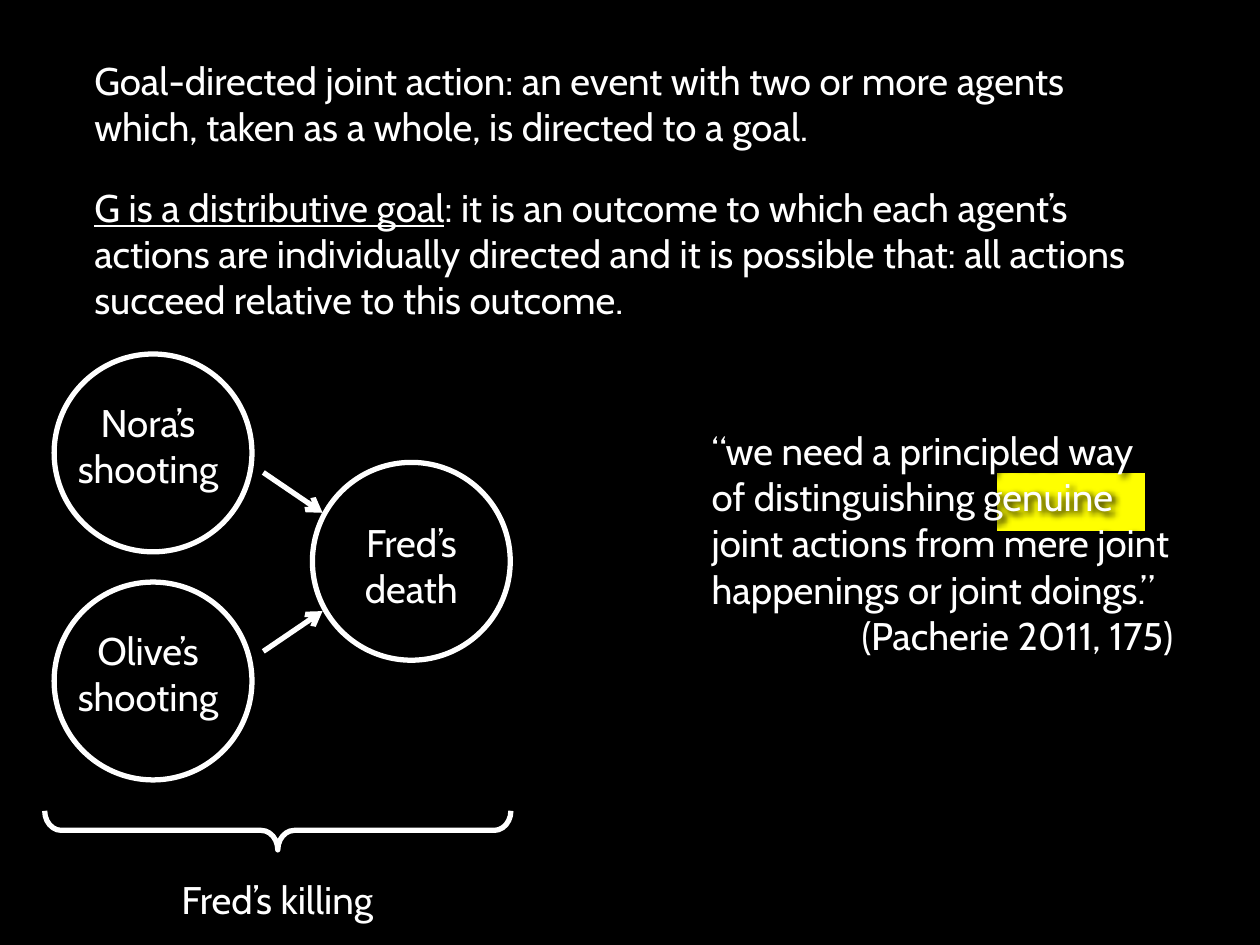
"""Build a slide on distributive goals, with a diagram of a joint killing."""
from dataclasses import dataclass

from lxml import etree
from pptx import Presentation
from pptx.dml.color import RGBColor
from pptx.enum.shapes import MSO_CONNECTOR, MSO_SHAPE
from pptx.enum.text import PP_ALIGN
from pptx.oxml.ns import qn
from pptx.util import Inches, Pt


@dataclass(frozen=True)
class Theme:
    font: str = "Cabin"
    size: int = 22
    stroke: int = 3
    ink: RGBColor = RGBColor(255, 255, 255)
    ground: RGBColor = RGBColor(0, 0, 0)
    highlight: RGBColor = RGBColor(255, 255, 0)


THEME = Theme()
LEFT, CENTER, RIGHT = PP_ALIGN.LEFT, PP_ALIGN.CENTER, PP_ALIGN.RIGHT

DISTRIBUTIVE = [
    ("G is a distributive goal", True),
    (": it is an outcome to which each agent’s actions are individually directed "
     "and it is possible that: all actions succeed relative to this outcome.", False),
]
JOINT_ACTION = [
    ("Goal-directed joint action: an event with two or more agents which, "
     "taken as a whole, is directed to a goal.", False),
]
QUOTE = [
    ("“we need a principled way of distinguishing genuine joint actions "
     "from mere joint happenings or joint doings.”", False),
]
SOURCE = [("(Pacherie 2011, 175)", False)]
KILLING = [("Fred’s killing", False)]

DIAMETER = 1.57
EVENTS = [
    ("Nora’s shooting", (0.43, 2.81), (-0.04, 0.31)),
    ("Olive’s shooting", (0.43, 4.62), (-0.04, 0.31)),
    ("Fred’s death", (2.48, 3.67), (0, 0.4)),
]
ARROW_X = (2.09, 2.56)
ARROW_MIDDLE = 4.46
ARROW_SPREAD = (0.71, 0.39)


def add_text(page, area, paragraphs):
    box = page.shapes.add_textbox(*map(Inches, area))
    frame = box.text_frame
    frame.word_wrap = True
    for index, (spans, alignment) in enumerate(paragraphs):
        paragraph = frame.paragraphs[0] if index == 0 else frame.add_paragraph()
        paragraph.alignment = alignment
        paragraph.font.name = THEME.font
        paragraph.font.size = Pt(THEME.size)
        paragraph.font.color.rgb = THEME.ink
        for text, underlined in spans:
            span = paragraph.add_run()
            span.text = text
            if underlined:
                span.font.underline = True
    return box


def add_outline(page, kind, area):
    shape = page.shapes.add_shape(kind, *map(Inches, area))
    shape.shadow.inherit = False
    shape.fill.background()
    shape.line.color.rgb = THEME.ink
    shape.line.width = Pt(THEME.stroke)
    return shape


def add_arrow(page, start, end):
    arrow = page.shapes.add_connector(MSO_CONNECTOR.STRAIGHT, *map(Inches, start + end))
    arrow.line.color.rgb = THEME.ink
    arrow.line.width = Pt(THEME.stroke)
    etree.SubElement(arrow.line._get_or_add_ln(), qn("a:tailEnd"), type="arrow")
    etree.SubElement(arrow._element.spPr, qn("a:effectLst"))


def add_glow(box):
    effects = etree.SubElement(box._element.spPr, qn("a:effectLst"))
    shadow = etree.SubElement(effects, qn("a:outerShdw"), blurRad=str(Pt(4)),
                              dist=str(Pt(2)), dir="2700000")
    etree.SubElement(shadow, qn("a:srgbClr"), val=str(THEME.ground))


def add_highlight(page):
    mark = page.shapes.add_shape(MSO_SHAPE.RECTANGLE, *map(Inches, (7.91, 3.75, 1.18, 0.47)))
    mark.shadow.inherit = False
    mark.fill.solid()
    mark.fill.fore_color.rgb = THEME.highlight
    mark.line.color.rgb = THEME.ground
    mark.line.width = Pt(0.75)


def add_diagram(page):
    for label, (left, top), (shift, drop) in EVENTS:
        add_text(page, (left + shift, top + drop, DIAMETER, 0.84), [([(label, False)], CENTER)])
        add_outline(page, MSO_SHAPE.OVAL, (left, top, DIAMETER, DIAMETER))
    for side in (-1, 1):
        start, end = ((x, ARROW_MIDDLE + side * spread)
                      for x, spread in zip(ARROW_X, ARROW_SPREAD))
        add_arrow(page, start, end)
    brace = add_outline(page, MSO_SHAPE.LEFT_BRACE, (2.05, 4.74, 0.31, 3.7))
    brace.rotation = 270
    brace.adjustments[0] = 0.425
    add_text(page, (0.47, 6.9, 3.46, 0.47), [(KILLING, CENTER)])


def main():
    deck = Presentation()
    deck.slide_width, deck.slide_height = Inches(10), Inches(7.5)
    page = deck.slides.add_slide(deck.slide_layouts[6])
    page.background.fill.solid()
    page.background.fill.fore_color.rgb = THEME.ground

    add_highlight(page)
    definition = add_text(page, (0.65, 1.41, 8.68, 1.21), [(DISTRIBUTIVE, LEFT)])
    definition.fill.solid()
    definition.fill.fore_color.rgb = THEME.ground
    add_text(page, (0.65, 0.4, 8.53, 0.84), [(JOINT_ACTION, LEFT)])
    add_diagram(page)
    add_glow(add_text(page, (5.55, 3.34, 3.86, 2.69), [(QUOTE, LEFT), (SOURCE, RIGHT)]))
    deck.save("out.pptx")


if __name__ == "__main__":
    main()
